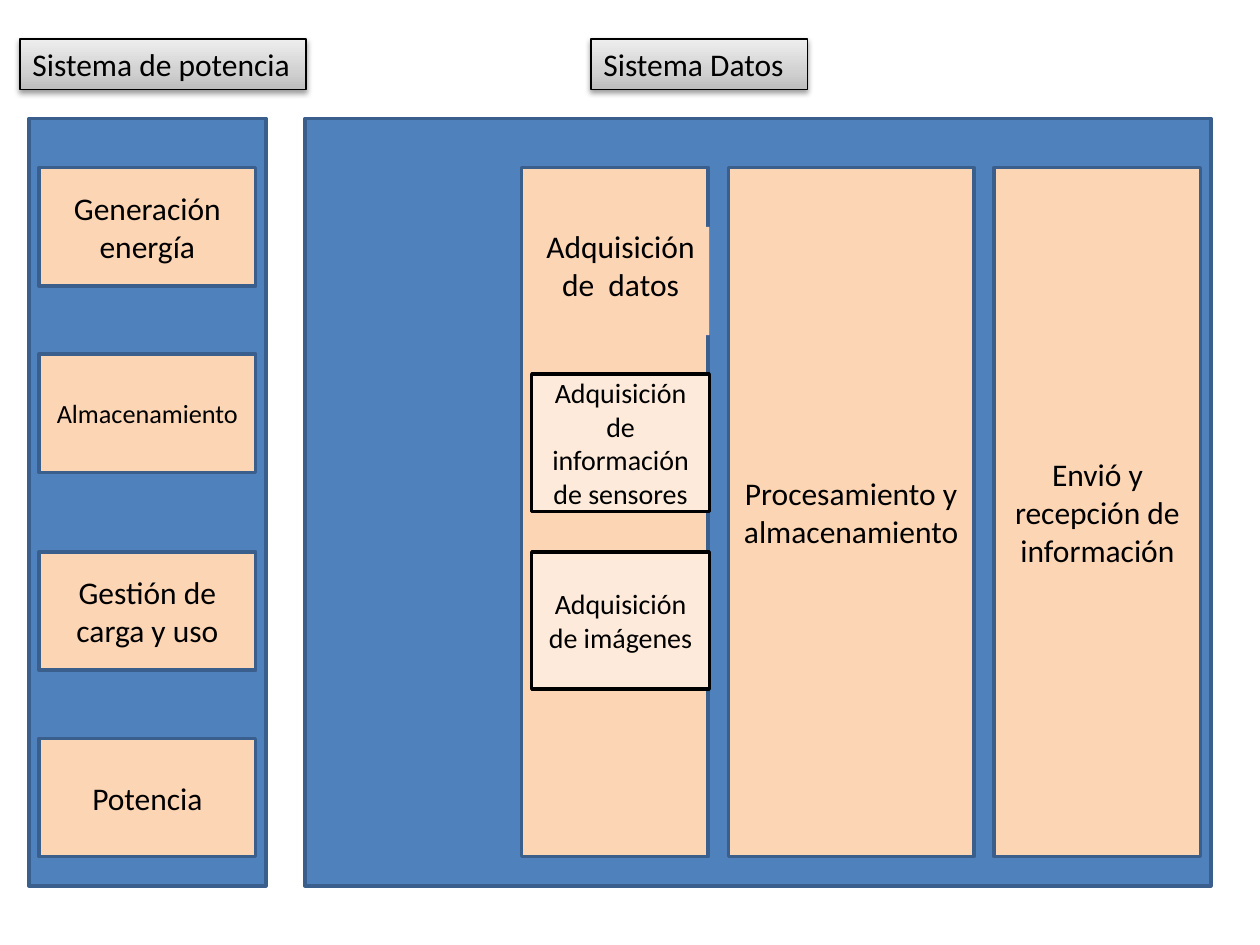
from copy import deepcopy

from lxml import etree
from pptx import Presentation
from pptx.dml.color import RGBColor
from pptx.enum.shapes import MSO_SHAPE
from pptx.enum.text import MSO_ANCHOR, MSO_AUTO_SIZE, PP_ALIGN
from pptx.oxml import parse_xml
from pptx.oxml.ns import qn
from pptx.util import Emu, Pt

EMU_PER_PX = 9144
BLACK = RGBColor(0x00, 0x00, 0x00)
BLUE = RGBColor(0x4F, 0x81, 0xBD)
DARK_BLUE = RGBColor(0x3A, 0x5F, 0x8C)
PEACH = RGBColor(0xFC, 0xD5, 0xB5)
LIGHT_PEACH = RGBColor(0xFD, 0xEA, 0xDA)
GREY_STOPS = (
    (0, RGBColor(0xBD, 0xBD, 0xBD)),
    (35, RGBColor(0xD1, 0xD1, 0xD1)),
    (100, RGBColor(0xEE, 0xEE, 0xEE)),
)
SHADOW = (
    '<a:outerShdw xmlns:a="http://schemas.openxmlformats.org/drawingml/2006/main" '
    'blurRad="40000" dist="20000" dir="5400000" rotWithShape="0">'
    '<a:srgbClr val="000000"><a:alpha val="38000"/></a:srgbClr></a:outerShdw>'
)


class Diagram:
    font = "Calibri"

    def __init__(self, slide):
        self.slide = slide

    def rectangle(self, left, top, width, height, line, line_width=2):
        box = [Emu(value * EMU_PER_PX) for value in (left, top, width, height)]
        shape = self.slide.shapes.add_shape(MSO_SHAPE.RECTANGLE, *box)
        shape.shadow.inherit = False
        if line is None:
            shape.line.fill.background()
        else:
            shape.line.color.rgb = line
            shape.line.width = Pt(line_width)
        return shape

    def add_text(self, shape, text, size, alignment, anchor):
        frame = shape.text_frame
        frame.word_wrap = True
        frame.vertical_anchor = anchor
        paragraph = frame.paragraphs[0]
        paragraph.alignment = alignment
        run = paragraph.add_run()
        run.text = text
        run.font.name = self.font
        run.font.size = Pt(size)
        run.font.color.rgb = BLACK

    def panel(self, left, top, width, height, fill=BLUE, line=DARK_BLUE):
        shape = self.rectangle(left, top, width, height, line)
        shape.fill.solid()
        shape.fill.fore_color.rgb = fill
        return shape

    def block(self, text, left, top, width, height, size=18, fill=PEACH, line=DARK_BLUE):
        shape = self.panel(left, top, width, height, fill, line)
        self.add_text(shape, text, size, PP_ALIGN.CENTER, MSO_ANCHOR.MIDDLE)
        return shape

    def heading(self, text, left, top, width, height, wrap=True):
        shape = self.rectangle(left, top, width, height, BLACK, 0.75)
        shape.fill.gradient()
        shape.fill.gradient_angle = 90
        stop_list = shape._element.spPr.find(".//" + qn("a:gsLst"))
        stop_list.append(deepcopy(stop_list[0]))
        for element, (position, color) in zip(stop_list, GREY_STOPS):
            element.set("pos", str(position * 1000))
            for child in list(element):
                element.remove(child)
            etree.SubElement(element, qn("a:srgbClr"), val=str(color))
        shape._element.spPr.find(qn("a:effectLst")).append(parse_xml(SHADOW))
        self.add_text(shape, text, 18, PP_ALIGN.LEFT, MSO_ANCHOR.TOP)
        shape.text_frame.word_wrap = wrap
        shape.text_frame.auto_size = MSO_AUTO_SIZE.SHAPE_TO_FIT_TEXT


def main():
    presentation = Presentation()
    presentation.slide_width = Emu(1000 * EMU_PER_PX)
    presentation.slide_height = Emu(750 * EMU_PER_PX)
    diagram = Diagram(presentation.slides.add_slide(presentation.slide_layouts[6]))

    for left, width in ((23, 188), (242, 719)):
        diagram.panel(left, 94, width, 609)
    diagram.heading("Sistema de potencia", 16, 31, 227, 40, wrap=False)
    diagram.heading("Sistema Datos", 469, 31, 172, 40)

    column_top, column_height = 133, 547
    diagram.panel(414, column_top, 148, column_height, PEACH)
    for text, left, width in (
        ("Procesamiento y almacenamiento", 578, 195),
        ("Envió y recepción de información", 789, 164),
    ):
        diagram.block(text, left, column_top, width, column_height)

    for text, top, size in (
        ("Generación energía", 133, 18),
        ("Almacenamiento", 281, 15),
        ("Gestión de carga y uso", 438, 18),
        ("Potencia", 586, 18),
    ):
        diagram.block(text, 31, top, 172, 94, size)

    acquisition = diagram.block("Adquisición de  datos", 422, 180, 141, 86, line=None)
    acquisition.text_frame.vertical_anchor = MSO_ANCHOR.TOP
    acquisition.text_frame.margin_top = 0
    for text, top in (
        ("Adquisición de información de sensores", 297),
        ("Adquisición de imágenes", 438),
    ):
        diagram.block(text, 422, top, 141, 109, 16, LIGHT_PEACH, BLACK)

    presentation.save("out.pptx")


if __name__ == "__main__":
    main()
